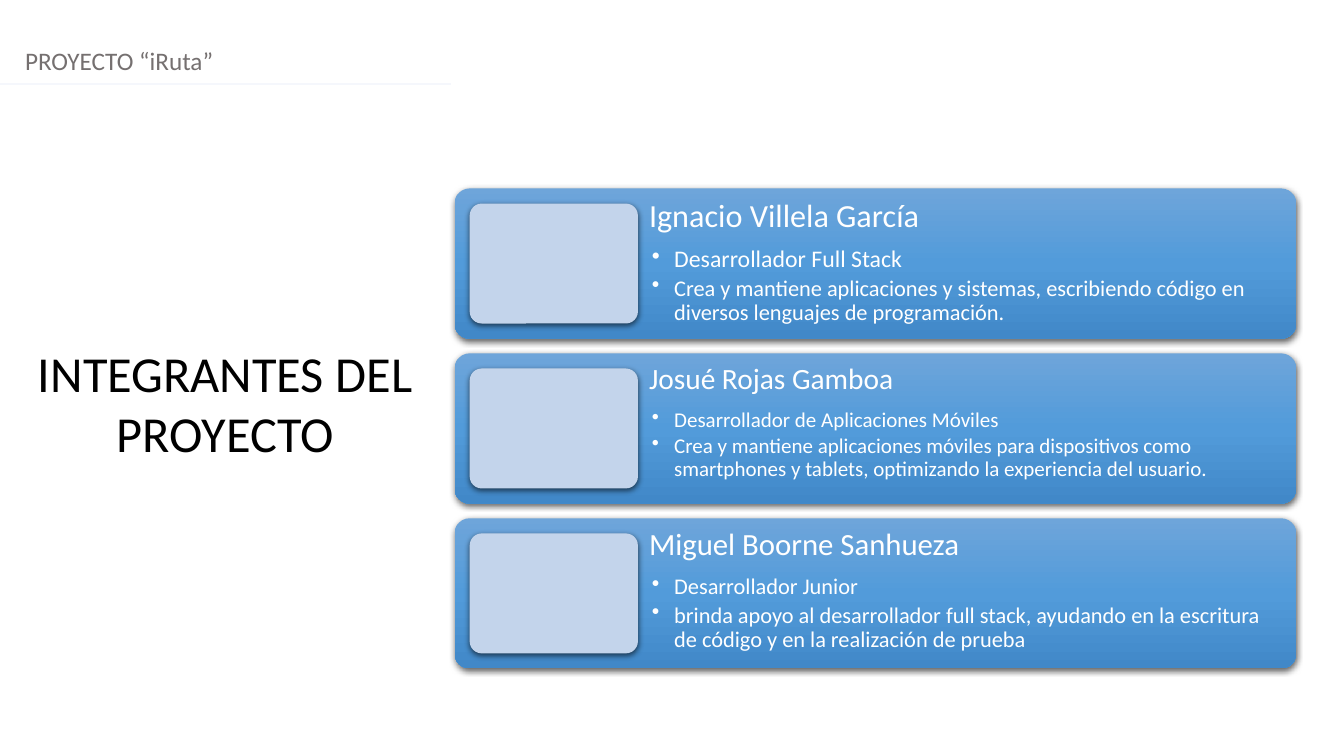
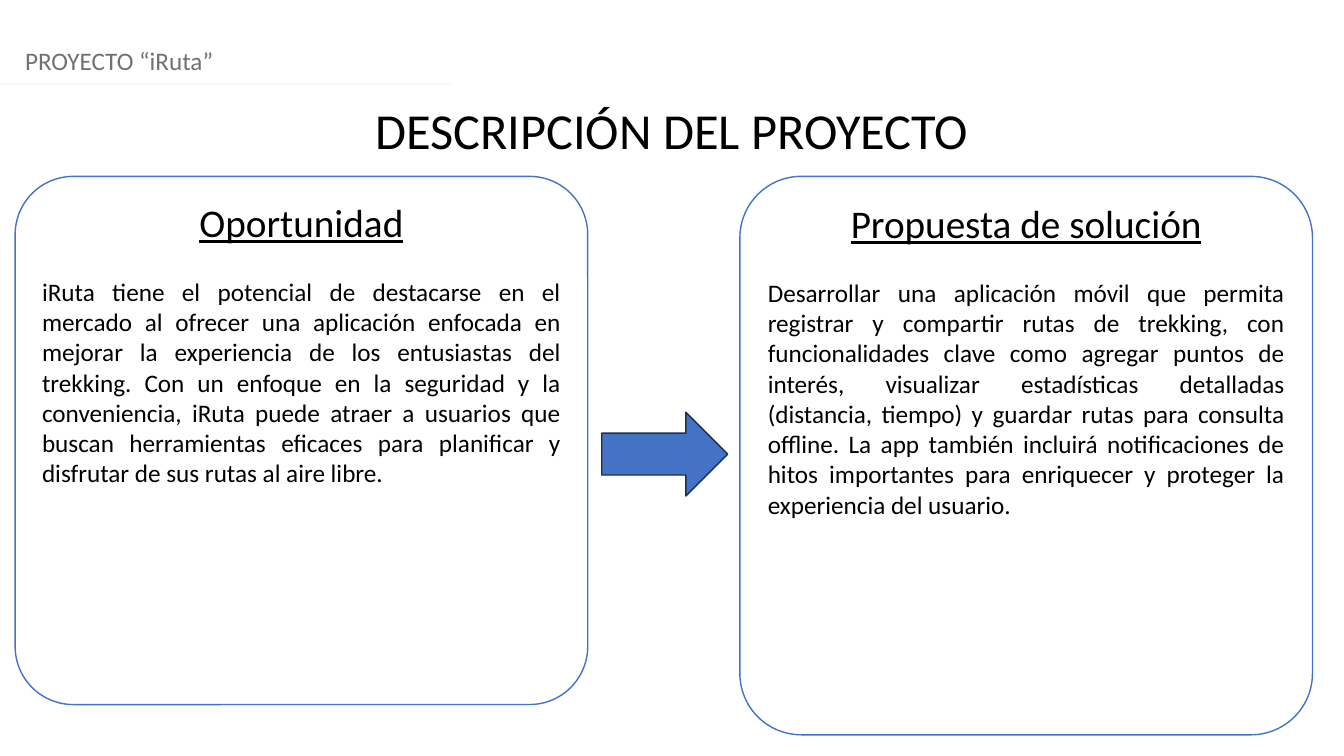
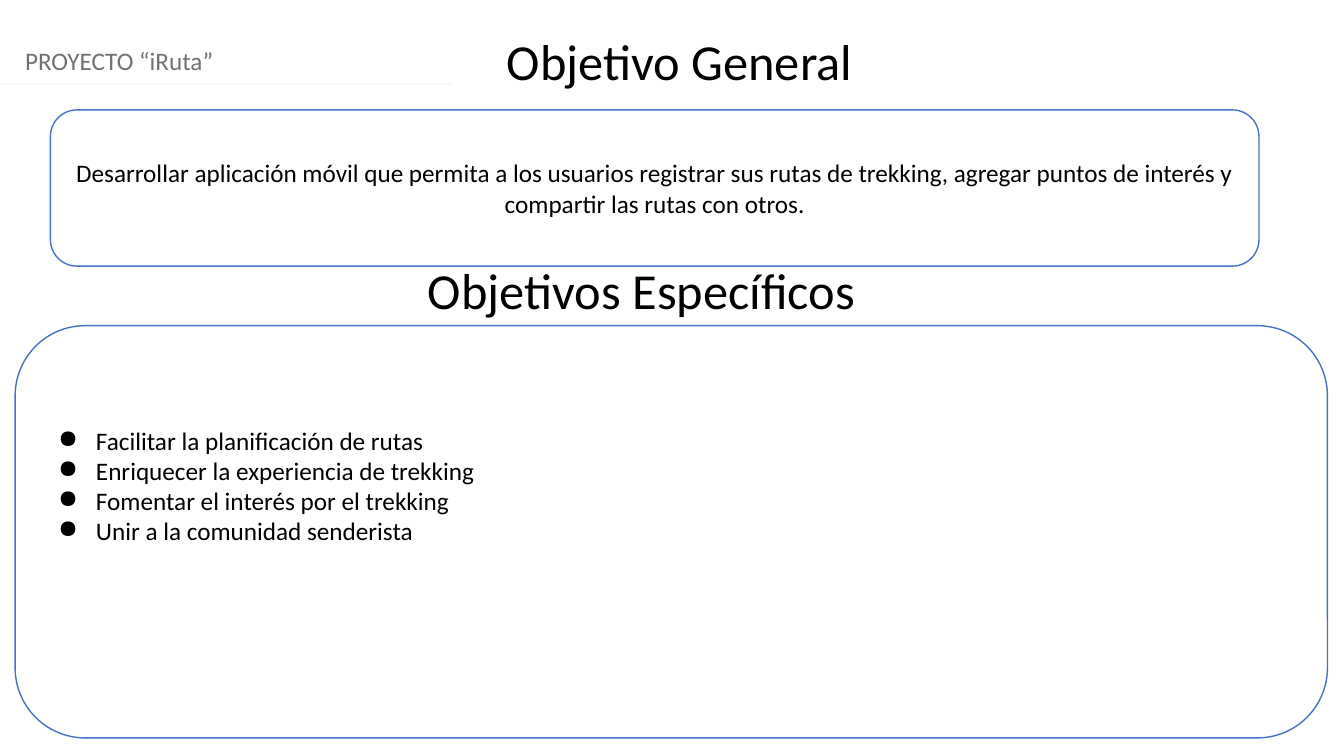
import copy
import dataclasses

import pptx
import pptx.dml.color
import pptx.enum.shapes
import pptx.enum.text
import pptx.oxml
import pptx.oxml.ns
import pptx.util

Pt = pptx.util.Pt
ALIGN = pptx.enum.text.PP_ALIGN
ANCHOR = pptx.enum.text.MSO_ANCHOR
SHAPE = pptx.enum.shapes.MSO_SHAPE
qn = pptx.oxml.ns.qn


@dataclasses.dataclass(frozen=True)
class Theme:
    font: str = "Calibri"
    ink: str = "000000"
    paper: str = "FFFFFF"
    header: str = "757070"
    rule: str = "F5F7FC"
    accent: str = "4472C4"
    arrow_edge: str = "1C3052"
    portrait: str = "C3D4EB"
    card_stops: tuple = ((0, "6EA5DA"), (0.5, "529BDA"), (1, "4188C8"))
    title_size: int = 36
    heading_size: int = 28
    body_size: int = 18
    insets: tuple = (7.2, 3.6, 7.2, 3.6)


THEME = Theme()
PAGE_WIDTH, PAGE_HEIGHT = 960, 540
MARGIN = 10.8

HEADER = "PROYECTO “iRuta”"
MEMBERS = (
    ("Ignacio Villela García", "Desarrollador Full Stack",
     "Crea y mantiene aplicaciones y sistemas, escribiendo código en diversos "
     "lenguajes de programación.", (23, 17, 16)),
    ("Josué Rojas Gamboa", "Desarrollador de Aplicaciones Móviles",
     "Crea y mantiene aplicaciones móviles para dispositivos como smartphones y "
     "tablets, optimizando la experiencia del usuario.", (21, 15, 15)),
    ("Miguel Boorne Sanhueza", "Desarrollador Junior",
     "brinda apoyo al desarrollador full stack, ayudando en la escritura de código "
     "y en la realización de prueba", (22, 16, 16)),
)
OPPORTUNITY = (
    "iRuta tiene el potencial de destacarse en el mercado al ofrecer una aplicación "
    "enfocada en mejorar la experiencia de los entusiastas del trekking. Con un enfoque "
    "en la seguridad y la conveniencia, iRuta puede atraer a usuarios que buscan "
    "herramientas eficaces para planificar y disfrutar de sus rutas al aire libre."
)
SOLUTION = (
    "Desarrollar una aplicación móvil que permita registrar y compartir rutas de "
    "trekking, con funcionalidades clave como agregar puntos de interés, visualizar "
    "estadísticas detalladas (distancia, tiempo) y guardar rutas para consulta offline. "
    "La app también incluirá notificaciones de hitos importantes para enriquecer y "
    "proteger la experiencia del usuario."
)
GENERAL_GOAL = (
    "Desarrollar aplicación móvil que permita a los usuarios registrar sus rutas de "
    "trekking, agregar puntos de interés y compartir las rutas con otros."
)
SPECIFIC_GOALS = (
    "Facilitar la planificación de rutas",
    "Enriquecer la experiencia de trekking",
    "Fomentar el interés por el trekking",
    "Unir a la comunidad senderista",
)


def rgb(value):
    return pptx.dml.color.RGBColor.from_string(value)


def lengths(*values):
    return [Pt(value) for value in values]


def set_frame(frame, insets=THEME.insets, anchor=ANCHOR.TOP):
    frame.word_wrap = True
    frame.auto_size = pptx.enum.text.MSO_AUTO_SIZE.NONE
    frame.vertical_anchor = anchor
    (frame.margin_left, frame.margin_top,
     frame.margin_right, frame.margin_bottom) = lengths(*insets)


def add_para(frame, text, size=THEME.body_size, color=THEME.ink, align=ALIGN.LEFT,
             underline=False, before=0, after=0, spacing=1.0):
    """Fill the frame's first paragraph while it is empty, else append one."""
    para = frame.paragraphs[0]
    if para.runs:
        para = frame.add_paragraph()
    para.alignment = align
    para.space_before, para.space_after = lengths(before, after)
    para.line_spacing = spacing
    span = para.add_run()
    span.text = text
    span.font.name = THEME.font
    span.font.size = Pt(size)
    span.font.underline = underline
    span.font.color.rgb = rgb(color)
    return para


def set_bullet(para, symbol, left, hanging):
    props = para._p.get_or_add_pPr()
    props.set("marL", str(Pt(left)))
    props.set("indent", str(-Pt(hanging)))
    bullet = props.makeelement(qn("a:buChar"), {"char": symbol})
    props.append(bullet)


def add_text_box(page, left, top, width, height, insets=THEME.insets):
    box = page.shapes.add_textbox(*lengths(left, top, width, height))
    set_frame(box.text_frame, insets)
    return box.text_frame


def add_title(page, text, left, top, width, height):
    title = page.shapes.title
    title.left, title.top, title.width, title.height = lengths(left, top, width, height)
    set_frame(title.text_frame)
    add_para(title.text_frame, text, THEME.title_size, align=ALIGN.CENTER)


def add_page(deck, title, *title_area):
    """Add a title-only page with the shared header and rule."""
    page = deck.slides.add_slide(deck.slide_layouts[5])
    header = add_text_box(page, MARGIN, 28.8, PAGE_WIDTH - MARGIN, 28.8)
    add_para(header, HEADER, color=THEME.header)
    add_title(page, title, *title_area)
    rule = page.shapes.add_connector(
        pptx.enum.shapes.MSO_CONNECTOR.STRAIGHT, *lengths(0, 59.8, 321.8, 59.8))
    rule.line.color.rgb = rgb(THEME.rule)
    rule.line.width = Pt(1.25)
    props = rule._element.spPr
    props.append(props.makeelement(qn("a:effectLst"), {}))
    return page


def add_block(page, kind, left, top, width, height, fill, edge=None, corner=None):
    block = page.shapes.add_shape(kind, *lengths(left, top, width, height))
    block.shadow.inherit = False
    block.fill.solid()
    block.fill.fore_color.rgb = rgb(fill)
    if edge:
        block.line.color.rgb = rgb(edge)
        block.line.width = Pt(1)
    else:
        block.line.fill.background()
    if corner is not None:
        block.adjustments[0] = corner
    return block


def add_panel(page, left, top, width, height, corner, insets=THEME.insets,
              anchor=ANCHOR.TOP):
    panel = add_block(page, SHAPE.ROUNDED_RECTANGLE, left, top, width, height,
                      THEME.paper, THEME.accent, corner)
    set_frame(panel.text_frame, insets, anchor)
    return panel.text_frame


def add_shadow(block):
    effects = block._element.spPr.find(qn("a:effectLst"))
    effects.append(pptx.oxml.parse_xml(
        f'<a:outerShdw {pptx.oxml.ns.nsdecls("a")} blurRad="{Pt(4.5)}" dist="{Pt(1.5)}" '
        'dir="5400000" algn="ctr" rotWithShape="0">'
        '<a:srgbClr val="000000"><a:alpha val="62000"/></a:srgbClr></a:outerShdw>'))


def set_gradient(block, stops):
    """Fill from top to bottom with (position, colour) stops."""
    block.fill.gradient()
    block.fill.gradient_angle = 270
    stop_list = block._element.spPr.find(qn("a:gradFill")).find(qn("a:gsLst"))
    while len(stop_list) < len(stops):
        stop_list.append(copy.deepcopy(stop_list[-1]))
    for stop, (position, color) in zip(block.fill.gradient_stops, stops):
        stop.position = position
        stop.color.rgb = rgb(color)


def add_member_card(page, top, name, role, duty, sizes):
    left, width, height = 324.7, 601.2, 107.3
    pad, portrait_width = 10.8, 120.2
    card = add_block(page, SHAPE.ROUNDED_RECTANGLE, left, top, width, height,
                     THEME.accent, corner=0.1)
    set_gradient(card, THEME.card_stops)
    portrait = add_block(page, SHAPE.ROUNDED_RECTANGLE, left + pad, top + pad,
                         portrait_width, height - 2 * pad, THEME.portrait, corner=0.1)
    for block in (card, portrait):
        add_shadow(block)
    text_offset = pad + portrait_width
    frame = add_text_box(page, left + text_offset, top, width - text_offset, height,
                         insets=(7.9,) * 4)
    name_size, role_size, duty_size = sizes
    add_para(frame, name, name_size, THEME.paper, spacing=0.9)
    for text, size, before in ((role, role_size, 9.1), (duty, duty_size, 3)):
        para = add_para(frame, text, size, THEME.paper, before=before, spacing=0.9)
        set_bullet(para, "•", 18, 16)


def build_members(deck):
    page = add_page(deck, "INTEGRANTES DEL PROYECTO", 18.7, 240.5, 284.4, 94.3)
    for index, member in enumerate(MEMBERS):
        add_member_card(page, 134.6 + 117.8 * index, *member)


def build_description(deck):
    page = add_page(deck, "DESCRIPCIÓN DEL PROYECTO", 0, 67, PAGE_WIDTH, 51.1)
    columns = ((MARGIN, 377.3, "Oportunidad", OPPORTUNITY),
               (528.5, 398.9, "Propuesta de solución", SOLUTION))
    for left, height, heading, body in columns:
        frame = add_panel(page, left, 126, 409, height, 0.11)
        add_para(frame, heading, THEME.heading_size, align=ALIGN.CENTER,
                 underline=True, after=22)
        add_para(frame, body, align=ALIGN.JUSTIFY)
    add_block(page, SHAPE.RIGHT_ARROW, 429.8, 294.5, 90, 59.8,
              THEME.accent, THEME.arrow_edge)


def build_goals(deck):
    page = add_page(deck, "Objetivo General", MARGIN, 18, PAGE_WIDTH - MARGIN, 51.1)
    subtitle = add_text_box(page, 0, 181.4, 916.6, 51.1)
    add_para(subtitle, "Objetivos Específicos", THEME.title_size, align=ALIGN.CENTER)
    general = add_panel(page, 36, 78.5, 863.3, 111.6, 0.17, anchor=ANCHOR.MIDDLE)
    add_para(general, GENERAL_GOAL, align=ALIGN.CENTER)
    specific = add_panel(page, MARGIN, 232.6, 937.4, 294.5, 0.17,
                         insets=(7.2, 3.6, 7.2, 69.6), anchor=ANCHOR.MIDDLE)
    for goal in SPECIFIC_GOALS:
        set_bullet(add_para(specific, goal), "●", 36, 27)


def main():
    deck = pptx.Presentation()
    deck.slide_width, deck.slide_height = lengths(PAGE_WIDTH, PAGE_HEIGHT)
    build_members(deck)
    build_description(deck)
    build_goals(deck)
    deck.save("out.pptx")


if __name__ == "__main__":
    main()
